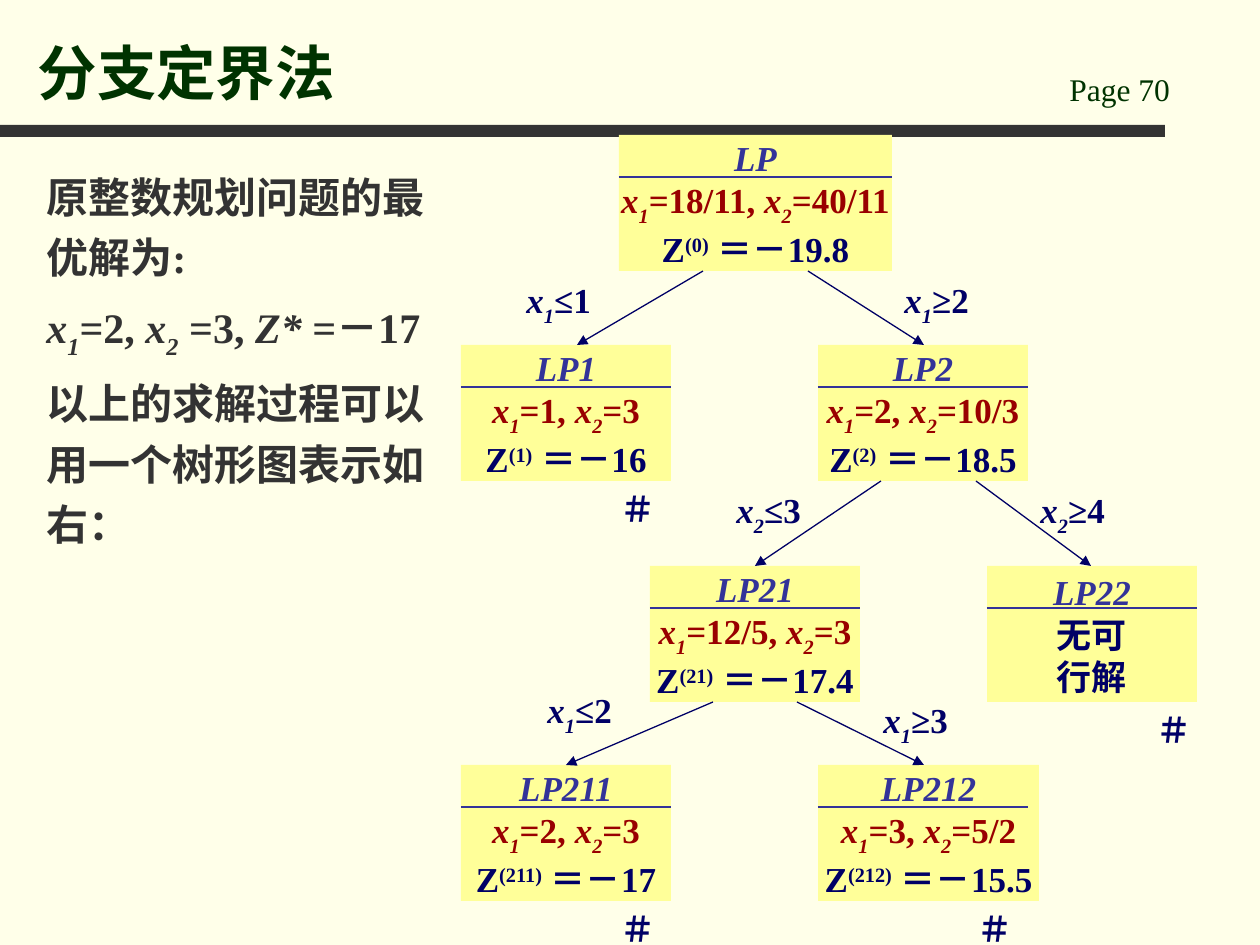
from lxml import etree
from pptx import Presentation
from pptx import util as u
from pptx.dml.color import RGBColor
from pptx.enum import shapes, text
from pptx.oxml.ns import qn

PX = 914400 / 126
FONT = "Times New Roman"
COLORS = {
    "background": "FFFFE9", "bar": "333333", "heading": "003300", "body": "333333",
    "node": "FFFF99", "name": "333399", "solution": "990000", "value": "000066",
}


def x(index, rest):
    """Spans for the variable x with a subscript, followed by plain text."""
    return [("x", "i"), (index, "sub"), (rest, "")]


def z(index, value):
    return [("Z", "i"), (index, "sup"), (f" ＝－{value}", "i")]


def solution(first, second):
    return x("1", f"={first}, ") + x("2", f"={second}")


TITLE = "分支定界法"
PAGE_NUMBER = "Page 70"
BODY = [
    [("原整数规划问题的最优解为:", "")],
    x("1", "=2, ") + x("2", " =3, ") + [("Z*", "i"), (" =－17", "")],
    [("以上的求解过程可以用一个树形图表示如右：", "")],
]

# name: left, top, box width, divider width, mark offset, lines under the name
NODES = {
    "LP1": (461, 345, 210, 210, 147, [solution("1", "3"), z("(1)", "16")]),
    "LP": (619, 135, 273, 273, None, [solution("18/11", "40/11"), z("(0)", "19.8")]),
    "LP2": (818, 345, 210, 210, None, [solution("2", "10/3"), z("(2)", "18.5")]),
    "LP21": (650, 566, 210, 210, None, [solution("12/5", "3"), z("(21)", "17.4")]),
    "LP22": (987, 566, 210, 210, 157, [[("无可", "")], [("行解", "")]]),
    "LP211": (461, 765, 210, 210, 147, [solution("2", "3"), z("(211)", "17")]),
    "LP212": (818, 765, 221, 210, 147, [solution("3", "5/2"), z("(212)", "15.5")]),
}
NODE_HEIGHT, DIVIDER_DROP = 136, 42

# parent, child, start x, end x, variable, bound, label left, label top
BRANCHES = [
    ("LP", "LP1", 703, 577, "1", "≤1", 514, 272),
    ("LP", "LP2", 808, 924, "1", "≥2", 892, 272),
    ("LP2", "LP21", 881, 755, "2", "≤3", 724, 482),
    ("LP2", "LP22", 976, 1091, "2", "≥4", 1028, 482),
    ("LP21", "LP211", 713, 566, "1", "≤2", 535, 682),
    ("LP21", "LP212", 797, 924, "1", "≥3", 871, 692),
]


def px(*lengths):
    return [u.Emu(round(length * PX)) for length in lengths]


def color(name):
    return RGBColor.from_string(COLORS[name])


def write(para, spans, size, tone, bold=True):
    for words, style in spans:
        span = para.add_run()
        span.text = words
        font = span.font
        font.name, font.size, font.bold = FONT, u.Pt(size), bold
        font.italic = style in ("i", "sub")
        font.color.rgb = color(tone)
        if style in ("sub", "sup"):
            shift = -30000 if style == "sub" else 30000
            font._element.set("baseline", str(shift))


def add_text(page, at, paragraphs, size, tone, bold=True, wrap=True):
    frame = page.shapes.add_textbox(*px(*at)).text_frame
    frame.word_wrap = wrap
    for number, spans in enumerate(paragraphs):
        para = frame.add_paragraph() if number else frame.paragraphs[0]
        write(para, spans, size, tone, bold)
    return frame


def add_box(page, at, fill):
    box = page.shapes.add_shape(shapes.MSO_SHAPE.RECTANGLE, *px(*at))
    box.shadow.inherit = False
    box.fill.solid()
    box.fill.fore_color.rgb = color(fill)
    box.line.fill.background()
    return box


def add_line(page, ends, tone, arrow=False):
    line = page.shapes.add_connector(shapes.MSO_CONNECTOR.STRAIGHT, *px(*ends))
    line.line.color.rgb = color(tone)
    line.line.width = u.Pt(0.75)
    properties = line.element.spPr
    if arrow:
        etree.SubElement(properties.find(qn("a:ln")), qn("a:tailEnd"), type="triangle")
    etree.SubElement(properties, qn("a:effectLst"))


def add_node(page, name):
    left, top, width, divider, _, lines = NODES[name]
    frame = add_box(page, (left, top, width, NODE_HEIGHT), "node").text_frame
    frame.word_wrap = False
    frame.vertical_anchor = text.MSO_ANCHOR.MIDDLE
    write(frame.paragraphs[0], [(name, "i")], 20, "name")
    for spans, tone in zip(lines, ("solution", "value")):
        if spans[0][0] == "Z":
            spans = [(words, style.replace("i", "")) for words, style in spans]
        write(frame.add_paragraph(), spans, 20, "value" if len(spans) == 1 else tone)
    for para in frame.paragraphs:
        para.alignment = text.PP_ALIGN.CENTER
    y = top + DIVIDER_DROP
    add_line(page, (left, y, left + divider, y), "name")


def add_branch(page, parent, child, start, end, index, bound, left, top):
    ends = (start, NODES[parent][1] + NODE_HEIGHT, end, NODES[child][1])
    add_line(page, ends, "value", arrow=True)
    add_text(page, (left, top, 117, 54), [x(index, bound)], 20, "value")


def add_title(page):
    title = page.shapes.title
    title.left, title.top, title.width, title.height = px(25, 16, 1012, 98)
    frame = title.text_frame
    frame.auto_size = text.MSO_AUTO_SIZE.NONE
    frame.vertical_anchor = text.MSO_ANCHOR.BOTTOM
    frame.paragraphs[0].alignment = text.PP_ALIGN.LEFT
    write(frame.paragraphs[0], [(TITLE, "")], 34, "heading")


def main():
    deck = Presentation()
    deck.slide_width, deck.slide_height = px(1260, 945)
    page = deck.slides.add_slide(deck.slide_layouts[5])
    page.background.fill.solid()
    page.background.fill.fore_color.rgb = color("background")

    add_box(page, (0, 125, 1165, 12), "bar")
    add_text(page, (1057, 64, 179, 50), [[(PAGE_NUMBER, "")]], 18, "heading", bold=False)
    add_title(page)
    body = add_text(page, (34, 155, 437, 397), BODY, 24, "body")
    for number, para in enumerate(body.paragraphs):
        para.line_spacing = 1.2
        para.space_before = u.Pt(4 if number else 0)

    for name in NODES:
        add_node(page, name)
    for branch in BRANCHES:
        add_branch(page, *branch)
    for left, top, _, _, mark, _ in NODES.values():
        if mark is not None:
            at = (left + mark, top + NODE_HEIGHT, 60, 54)
            add_text(page, at, [[("＃", "")]], 20, "value", wrap=False)
    deck.save("out.pptx")


if __name__ == "__main__":
    main()
